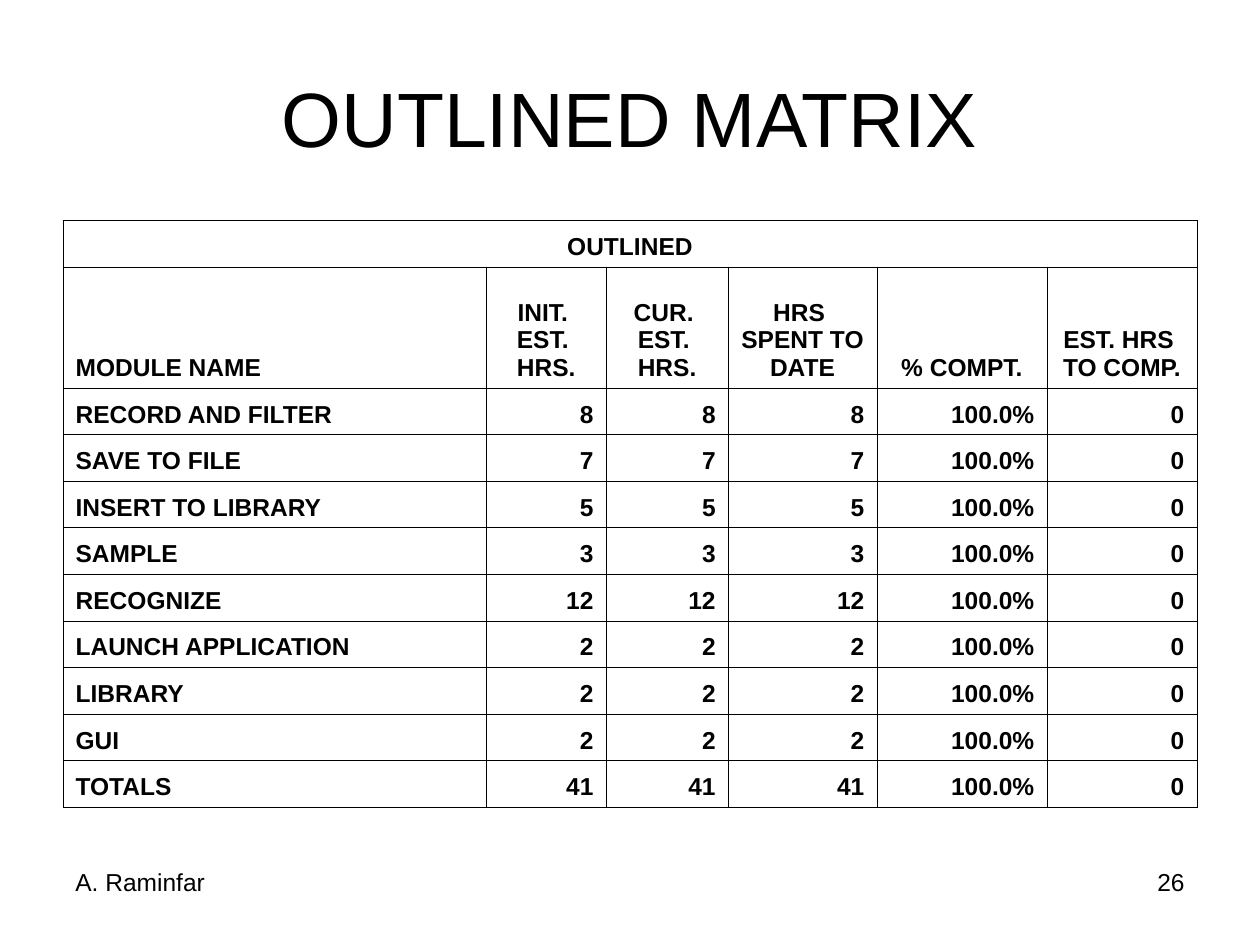
from lxml import etree
from pptx import Presentation
from pptx.dml.color import RGBColor
from pptx.enum.text import MSO_ANCHOR, PP_ALIGN
from pptx.oxml.ns import qn
from pptx.util import Inches, Pt

COLORS = {"ink": "000000", "paper": "FFFFFF"}
LEFT, CENTER, RIGHT = PP_ALIGN.LEFT, PP_ALIGN.CENTER, PP_ALIGN.RIGHT


def style(frame, size, align, bold=False):
    for para in frame.paragraphs:
        para.alignment = align
        for run in para.runs:
            run.font.name = "Arial"
            run.font.size = Pt(size)
            run.font.bold = bold
            run.font.color.rgb = RGBColor.from_string(COLORS["ink"])


def outline(cell):
    """Draw a thin line on all four sides of a cell."""
    props = cell._tc.get_or_add_tcPr()
    for spot, side in enumerate(("a:lnL", "a:lnR", "a:lnT", "a:lnB")):
        line = etree.Element(qn(side), w=str(Pt(0.45)))
        fill = etree.SubElement(line, qn("a:solidFill"))
        etree.SubElement(fill, qn("a:srgbClr"), val=COLORS["ink"])
        props.insert(spot, line)


prs = Presentation()
prs.slide_width, prs.slide_height = Inches(10), Inches(7.5)
slide = prs.slides.add_slide(prs.slide_layouts[6])
slide.background.fill.solid()
slide.background.fill.fore_color.rgb = RGBColor.from_string(COLORS["paper"])

# Title and footer
labels = [
    ("OUTLINED MATRIX", 0.5, 0.3, 9, 1.25, 44, CENTER, MSO_ANCHOR.MIDDLE),
    ("26", 7.17, 6.83, 2.33, 0.52, 14, RIGHT, MSO_ANCHOR.TOP),
    ("A. Raminfar", 0.5, 6.83, 2.33, 0.52, 14, LEFT, MSO_ANCHOR.TOP),
]
for text, left, top, width, height, size, align, anchor in labels:
    box = slide.shapes.add_textbox(
        Inches(left), Inches(top), Inches(width), Inches(height))
    frame = box.text_frame
    frame.word_wrap = True
    frame.vertical_anchor = anchor
    frame.text = text
    style(frame, size, align)

# Hours per module: equal estimates and time spent, nothing left to do
hours = {
    "RECORD AND FILTER": 8,
    "SAVE TO FILE": 7,
    "INSERT TO LIBRARY": 5,
    "SAMPLE": 3,
    "RECOGNIZE": 12,
    "LAUNCH APPLICATION": 2,
    "LIBRARY": 2,
    "GUI": 2,
}
hours["TOTALS"] = sum(hours.values())
heads = ["MODULE NAME", "INIT. \nEST. \nHRS.", "CUR. \nEST. \nHRS.",
         "HRS \nSPENT TO \nDATE", "% COMPT.", "EST. HRS \nTO COMP."]
rows = [["OUTLINED"] + [""] * 5, heads]
rows += [[name, str(n), str(n), str(n), "100.0%", "0"]
         for name, n in hours.items()]
widths = [3.36, 0.95, 0.97, 1.18, 1.35, 1.19]
heights = [0.37, 0.96] + [0.37] * len(hours)

table = slide.shapes.add_table(
    len(rows), len(widths), Inches(0.5), Inches(1.75),
    Inches(sum(widths)), Inches(sum(heights))).table
table.first_row = table.horz_banding = False
for col, width in zip(table.columns, widths):
    col.width = Inches(width)
for row, height in zip(table.rows, heights):
    row.height = Inches(height)
table.cell(0, 0).merge(table.cell(0, len(widths) - 1))

for r, row in enumerate(rows):
    for c, text in enumerate(row):
        cell = table.cell(r, c)
        cell.fill.background()
        outline(cell)
        if cell.is_spanned:
            continue
        cell.vertical_anchor = MSO_ANCHOR.BOTTOM
        cell.margin_left = cell.margin_right = Inches(0.1)
        cell.margin_top = cell.margin_bottom = Inches(0.05)
        cell.text_frame.text = text
        for para in cell.text_frame.paragraphs:
            props = para._p.get_or_add_pPr()
            props.set("marL", str(Inches(0.38)))
            props.set("indent", str(-Inches(0.38)))
        if r == 0:
            align = CENTER
        elif c == 0:
            align = LEFT
        else:
            align = CENTER if r == 1 else RIGHT
        style(cell.text_frame, 14, align, bold=True)

prs.save("out.pptx")
